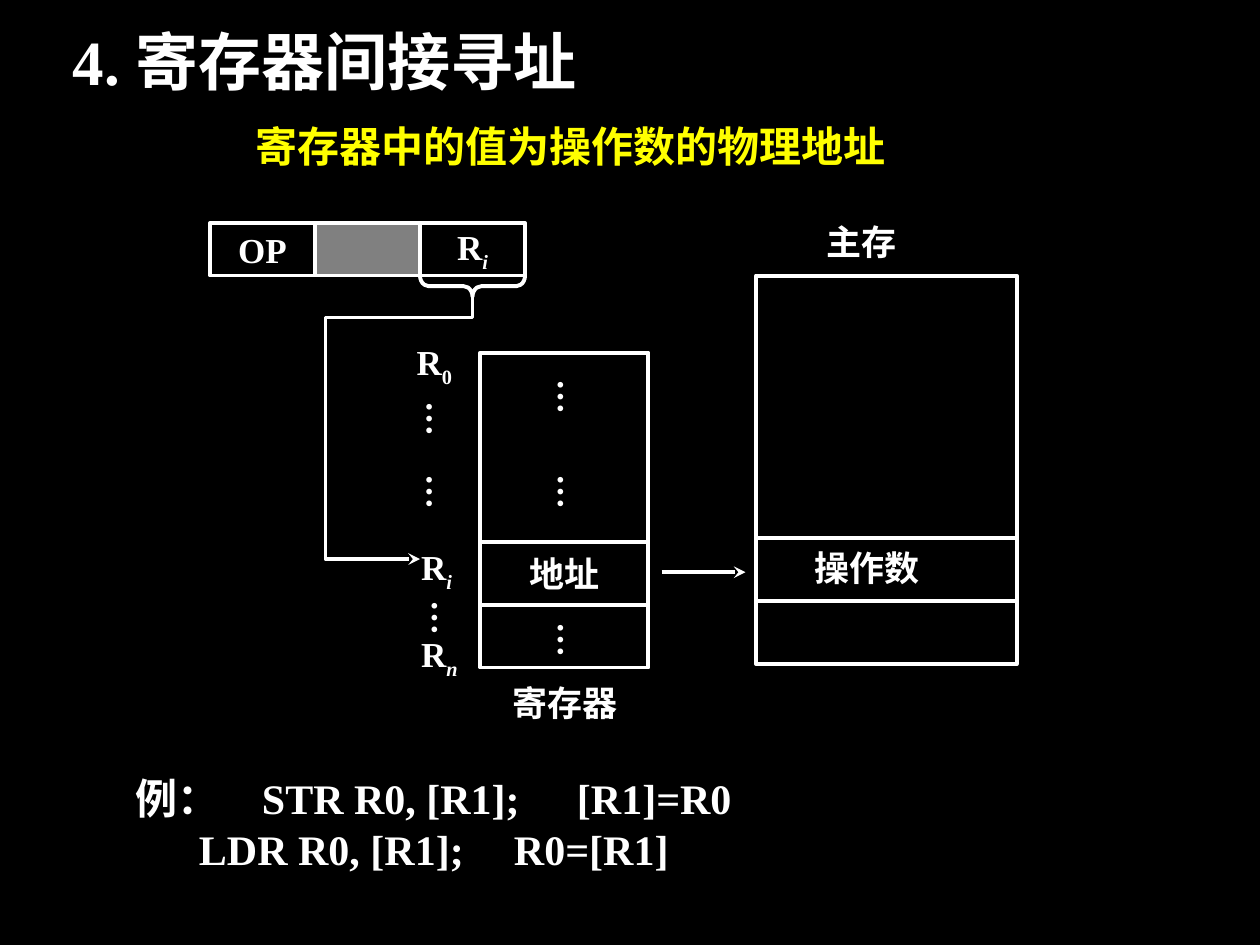
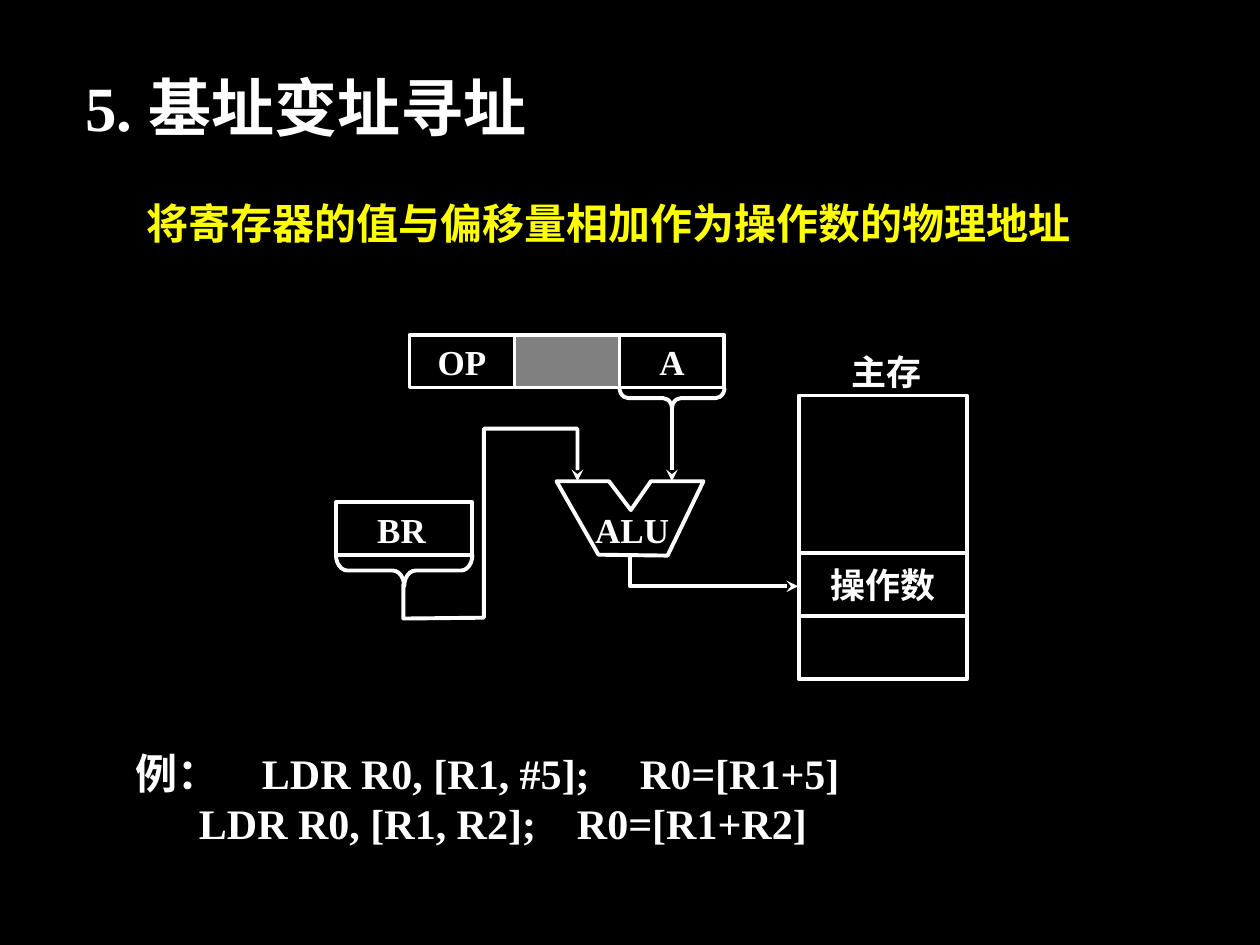
from dataclasses import dataclass

from lxml.etree import SubElement
from pptx import Presentation
from pptx.dml.color import RGBColor
from pptx.enum.shapes import MSO_CONNECTOR, MSO_SHAPE
from pptx.enum.text import MSO_ANCHOR, MSO_AUTO_SIZE, PP_ALIGN
from pptx.oxml.ns import qn
from pptx.util import Pt


@dataclass
class Theme:
    font: str = "Times New Roman"
    back: RGBColor = RGBColor(0, 0, 0)
    ink: RGBColor = RGBColor(255, 255, 255)
    accent: RGBColor = RGBColor(255, 255, 0)
    title: int = 36
    body: int = 24
    label: int = 20
    line: float = 2.25


theme = Theme()


def write(sp, lines, size, color=theme.ink, align=PP_ALIGN.LEFT,
          anchor=MSO_ANCHOR.TOP, wrap=True, tabs=()):
    """Fill a shape with bold lines; "R_i" sets i as a subscript, tabs are per line."""
    tf = sp.text_frame
    tf.auto_size = MSO_AUTO_SIZE.NONE
    tf.word_wrap, tf.vertical_anchor = wrap, anchor
    for i, line in enumerate(lines):
        p = tf.paragraphs[0] if i == 0 else tf.add_paragraph()
        p.alignment, p.space_before = align, Pt(0)
        if tabs:
            pPr = p._p.get_or_add_pPr()
            pPr.set("marL", "0")
            pPr.set("indent", "0")
            SubElement(pPr, qn("a:buNone"))
            stops = SubElement(pPr, qn("a:tabLst"))
            for pos in tabs[i]:
                SubElement(stops, qn("a:tab"), pos=str(Pt(pos)), algn="l")
        base, _, sub = line.partition("_")
        p.text = base
        if sub:
            r = p.add_run()
            r.text = sub
            r.font.italic = sub.isalpha()
            r.font._element.set("baseline", "-25000")
        for r in p.runs:
            r.font.name, r.font.size, r.font.bold = theme.font, Pt(size), True
            r.font.color.rgb = color


def outline(sp, arrow=False):
    """Draw a shape or connector as a plain line without fill or shadow."""
    sp.line.color.rgb = theme.ink
    sp.line.width = Pt(theme.line)
    if arrow:
        SubElement(sp.line._get_or_add_ln(), qn("a:tailEnd"), type="stealth")
    if hasattr(sp, "fill"):
        sp.fill.background()
    SubElement(sp.element.spPr, qn("a:effectLst"))


CELL_W, CELL_H = 60, 30

# Boxes are left, top, width, height; stacks are left, top, width, cells from the top.
slides = [
    dict(
        title=("4. 寄存器间接寻址", (34.5, 9.5, 450, 50.5)),
        rule=("寄存器中的值为操作数的物理地址", (139, 65.5, 436, 36)),
        example=(["例：\tSTR R0, [R1];\t[R1]=R0", "\tLDR R0, [R1];\tR0=[R1]"],
                 (70.5, 438, 482, 65), [(54, 309.5), (47.5, 300.5)]),
        instruction=(120, 127.5, "R_i"),
        stacks=[(274.5, 201.5, 96, [(108, ""), (36, "地址"), (36, "")]),
                (432, 157.5, 149, [(222, "")])],
        braces=[(240, 157.5, 60, 12, 0.417)],
        labels=[("操作数", 458.5, 309, 74), ("主存", 465, 122.5, 54),
                ("R_0", 231, 191, 34.5), ("R_i", 233.5, 308, 31.5),
                ("R_n", 233.5, 358, 35), ("寄存器", 286, 386, 102)],
        dots=[(304.5, 209.5), (304.5, 264), (304.5, 348.5),
              (229.5, 222.5), (229.5, 264), (232.5, 336)],
        paths=[([(270, 170), (270, 181.5), (186, 181.5), (186, 319.5), (240, 319.5)], True)],
        lines=[(432, 307.5, 581, 307.5, False), (432, 343.5, 581, 343.5, False),
               (378, 327, 426, 327, True)],
    ),
    dict(
        title=("5. 基址变址寻址", (41.5, 35.5, 335, 50.5)),
        rule=("将寄存器的值与偏移量相加作为操作数的物理地址", (76.5, 109.5, 567, 36)),
        example=(["例：\tLDR R0, [R1, #5];\tR0=[R1+5]", "\tLDR R0, [R1, R2];\tR0=[R1+R2]"],
                 (70.5, 423.5, 562, 65), [(54, 349), (47.5, 342)]),
        instruction=(234, 191.5, "A"),
        stacks=[(456.5, 226, 96, [(90, ""), (36, "操作数"), (36, "")]),
                (192, 287, 78, [(30, "")])],
        braces=[(354, 221.5, 60, 12, 0.417), (192, 317, 78, 18, 0.361)],
        labels=[("主存", 479.5, 196.5, 54), ("ALU", 333, 287, 57), ("BR", 208.5, 287, 42)],
        dots=[],
        paths=[([(318, 275), (348, 275), (360.5, 291.5), (372, 275), (402, 275),
                 (381.5, 317.5), (342, 317), (318, 275)], False),
               ([(230.5, 333.5), (230.5, 353.5), (276.5, 353), (276.5, 245),
                 (330, 245), (330, 275)], True),
               ([(360, 317), (360, 335), (456, 335)], True)],
        lines=[(384, 233.5, 384, 275, True)],
    ),
]

prs = Presentation()
prs.slide_width, prs.slide_height = Pt(720), Pt(540)
fill = prs.slide_master.background.fill
fill.solid()
fill.fore_color.rgb = theme.back

for data in slides:
    s = prs.slides.add_slide(prs.slide_layouts[1])
    title, body = s.placeholders
    text, box = data["title"]
    title.left, title.top, title.width, title.height = map(Pt, box)
    write(title, [text], theme.title)

    text, box = data["rule"]
    write(s.shapes.add_textbox(*map(Pt, box)), [text], theme.body, theme.accent)

    lines, box, tabs = data["example"]
    body.left, body.top, body.width, body.height = map(Pt, box)
    write(body, lines, theme.body, tabs=tabs)

    # Instruction word: opcode, unused middle field, address field
    x, y, address = data["instruction"]
    cells = [(x + i * CELL_W, y, CELL_W, CELL_H, text)
             for i, text in enumerate(["OP", "", address])]
    unused = cells[1]
    for x, y, w, stack in data["stacks"]:
        for h, text in stack:
            cells.append((x, y, w, h, text))
            y += h
    for cell in cells:
        *box, text = cell
        sp = s.shapes.add_shape(MSO_SHAPE.RECTANGLE, *map(Pt, box))
        outline(sp)
        if cell is unused:
            sp.fill.solid()
            sp.fill.fore_color.rgb = theme.ink
            color = sp.element.spPr.find(qn("a:solidFill")).find(qn("a:srgbClr"))
            SubElement(color, qn("a:alpha"), val="50000")
        if text:
            write(sp, [text], theme.label, align=PP_ALIGN.CENTER,
                  anchor=MSO_ANCHOR.MIDDLE, wrap=False)

    # Braces lie below a field, so the upright preset is turned about its centre
    for x, y, w, h, curve in data["braces"]:
        sp = s.shapes.add_shape(MSO_SHAPE.LEFT_BRACE, Pt(x + (w - h) / 2),
                                Pt(y + (h - w) / 2), Pt(h), Pt(w))
        sp.rotation = 270
        sp.adjustments[0] = curve
        outline(sp)

    for points, arrow in data["paths"]:
        closed = points[0] == points[-1]
        points = [(Pt(x), Pt(y)) for x, y in points]
        builder = s.shapes.build_freeform(*points[0])
        builder.add_line_segments(points[1:], close=closed)
        outline(builder.convert_to_shape(), arrow)

    for *ends, arrow in data["lines"]:
        outline(s.shapes.add_connector(MSO_CONNECTOR.STRAIGHT, *map(Pt, ends)), arrow)

    for text, x, y, w in data["labels"]:
        sp = s.shapes.add_textbox(Pt(x), Pt(y), Pt(w), Pt(31.5))
        write(sp, [text], theme.label, wrap=False)

    for x, y in data["dots"]:
        sp = s.shapes.add_textbox(Pt(x), Pt(y), Pt(38), Pt(27.5))
        tf = sp.text_frame
        tf.margin_left = tf.margin_right = Pt(3.6)
        tf.margin_top = tf.margin_bottom = Pt(7.2)
        write(sp, ["…"], theme.label, wrap=False)
        sp.element.txBody.bodyPr.set("vert", "eaVert")

prs.save("out.pptx")
